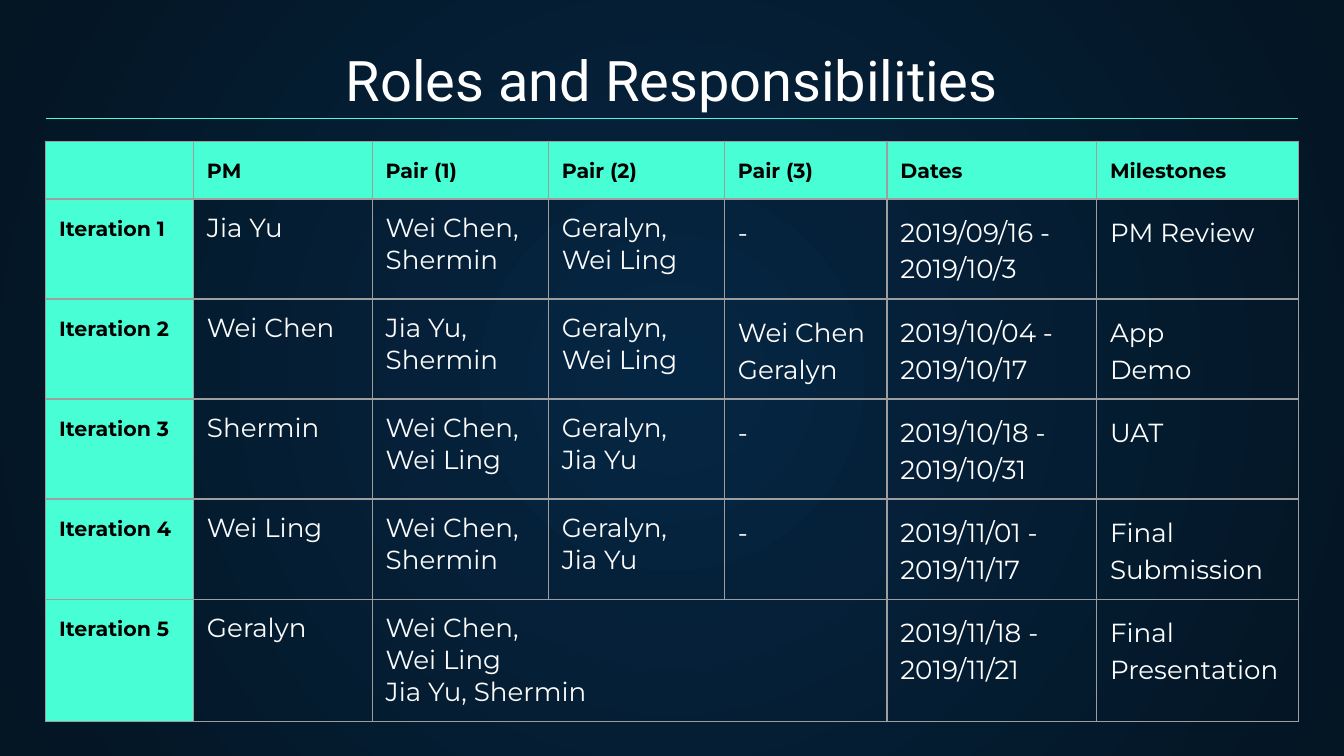
"""Build a slide with a table of team roles per iteration."""
from lxml import etree
from pptx import Presentation
from pptx import util as u
from pptx.dml.color import RGBColor
from pptx.enum import shapes, text
from pptx.oxml import parse_xml
from pptx.oxml.ns import nsdecls, qn

TITLE = "Roles and Responsibilities"
HEADER = ["", "PM", "Pair (1)", "Pair (2)", "Pair (3)", "Dates", "Milestones"]
ITERATIONS = [
    ["Iteration 1", "Jia Yu", "Wei Chen, Shermin", "Geralyn,\nWei Ling", "-",
     "2019/09/16 -\n2019/10/3", "PM Review"],
    ["Iteration 2", "Wei Chen", "Jia Yu, Shermin", "Geralyn,\nWei Ling",
     "Wei Chen\nGeralyn", "2019/10/04 -\n2019/10/17", "App\nDemo"],
    ["Iteration 3", "Shermin", "Wei Chen,\nWei Ling", "Geralyn,\nJia Yu", "-",
     "2019/10/18 -\n2019/10/31", "UAT"],
    ["Iteration 4", "Wei Ling", "Wei Chen,\nShermin", "Geralyn,\nJia Yu", "-",
     "2019/11/01 -\n2019/11/17", "Final\nSubmission"],
    ["Iteration 5", "Geralyn", "Wei Chen,\nWei Ling\nJia Yu, Shermin", "", "",
     "2019/11/18 -\n2019/11/21", "Final\nPresentation"],
]
ROWS = [HEADER] + ITERATIONS
COLUMN_WIDTHS = [1.1, 1.33, 1.31, 1.31, 1.21, 1.56, 1.5]
ROW_HEIGHTS = [0.43] + [0.74] * 4 + [0.91]
MERGED = ((5, 2), (5, 4))
PAIR_START, PAIR_END = 1, 3

WIDTH = 10
HEIGHT = WIDTH * 9 / 16
MARGIN = 0.34
CONTENT_WIDTH = WIDTH - 2 * MARGIN
INSET = u.Inches(0.1)
TITLE_FONT, TABLE_FONT = "Roboto", "Montserrat"
CENTRE_BLUE = RGBColor(0x05, 0x26, 0x43)
EDGE_BLUE = RGBColor(0x04, 0x15, 0x23)
MINT = RGBColor(0x48, 0xFF, 0xD5)
GREY = RGBColor(0x9E, 0x9E, 0x9E)
WHITE = RGBColor(0xFF, 0xFF, 0xFF)
OFF_WHITE = RGBColor(0xFB, 0xFB, 0xFB)
BLACK = RGBColor(0, 0, 0)


def paint_background(slide):
    fill = slide.background.fill
    fill.gradient()
    for stop, color in zip(fill.gradient_stops, (CENTRE_BLUE, EDGE_BLUE)):
        stop.color.rgb = color
    gradient = slide.background._cSld.find(".//" + qn("a:gradFill"))
    gradient.remove(gradient.find(qn("a:lin")))
    circle = etree.SubElement(gradient, qn("a:path"), {"path": "circle"})
    etree.SubElement(circle, qn("a:fillToRect"), {side: "50000" for side in "ltrb"})


def set_insets(target):
    target.margin_left = target.margin_right = INSET
    target.margin_top = target.margin_bottom = INSET


def add_run(paragraph, words, font, size, color, bold=False):
    run = paragraph.add_run()
    run.text = words
    run.font.name, run.font.size, run.font.bold = font, u.Pt(size), bold
    run.font.color.rgb = color


def add_title(slide):
    title = slide.shapes.title
    title.left, title.top = u.Inches(MARGIN), u.Inches(0.28)
    title.width, title.height = u.Inches(CONTENT_WIDTH), u.Inches(0.66)
    frame = title.text_frame
    frame.auto_size = text.MSO_AUTO_SIZE.NONE
    frame.vertical_anchor = text.MSO_ANCHOR.BOTTOM
    set_insets(frame)
    paragraph = frame.paragraphs[0]
    paragraph.alignment = text.PP_ALIGN.CENTER
    add_run(paragraph, TITLE, TITLE_FONT, 30, WHITE)


def add_rule(slide):
    y = u.Inches(0.88)
    rule = slide.shapes.add_connector(
        shapes.MSO_CONNECTOR.STRAIGHT, u.Inches(MARGIN), y, u.Inches(WIDTH - MARGIN), y)
    rule.line.color.rgb = MINT
    rule.line.width = u.Pt(0.75)
    etree.SubElement(rule._element.spPr, qn("a:effectLst"))


def add_borders(cell):
    properties = cell._tc.get_or_add_tcPr()
    for index, side in enumerate(("lnL", "lnR", "lnT", "lnB")):
        properties.insert(index, parse_xml(
            f'<a:{side} {nsdecls("a")} w="{u.Pt(0.75)}"><a:solidFill>'
            f'<a:srgbClr val="{GREY}"/></a:solidFill></a:{side}>'))


def fill_cell(cell, words, row, column):
    is_label = row == 0 or column == 0
    is_pair = PAIR_START <= column <= PAIR_END
    if is_label:
        cell.fill.solid()
        cell.fill.fore_color.rgb = MINT
    else:
        cell.fill.background()
    add_borders(cell)
    set_insets(cell)
    size = 11 if is_label else 14
    color = BLACK if is_label else OFF_WHITE if is_pair else WHITE
    frame = cell.text_frame
    for index, line in enumerate(words.split("\n")):
        paragraph = frame.add_paragraph() if index else frame.paragraphs[0]
        if is_label or not is_pair:
            paragraph.line_spacing = 1.15
        if line:
            add_run(paragraph, line, TABLE_FONT, size, color, is_label)
        else:
            paragraph._p.get_or_add_endParaRPr().set("sz", str(size * 100))


def add_roles_table(slide):
    table = slide.shapes.add_table(
        len(ROWS), len(HEADER), u.Inches(MARGIN), u.Inches(1.05),
        u.Inches(CONTENT_WIDTH), u.Inches(sum(ROW_HEIGHTS))).table
    table.first_row = table.horz_banding = False
    for column, width in zip(table.columns, COLUMN_WIDTHS):
        column.width = u.Inches(width)
    for row, height in zip(table.rows, ROW_HEIGHTS):
        row.height = u.Inches(height)
    for row, entries in enumerate(ROWS):
        for column, words in enumerate(entries):
            fill_cell(table.cell(row, column), words, row, column)
    first, last = MERGED
    table.cell(*first).merge(table.cell(*last))


def main():
    presentation = Presentation()
    presentation.slide_width = u.Inches(WIDTH)
    presentation.slide_height = u.Inches(HEIGHT)
    slide = presentation.slides.add_slide(presentation.slide_layouts[5])
    paint_background(slide)
    add_title(slide)
    add_rule(slide)
    add_roles_table(slide)
    presentation.save("out.pptx")


if __name__ == "__main__":
    main()
